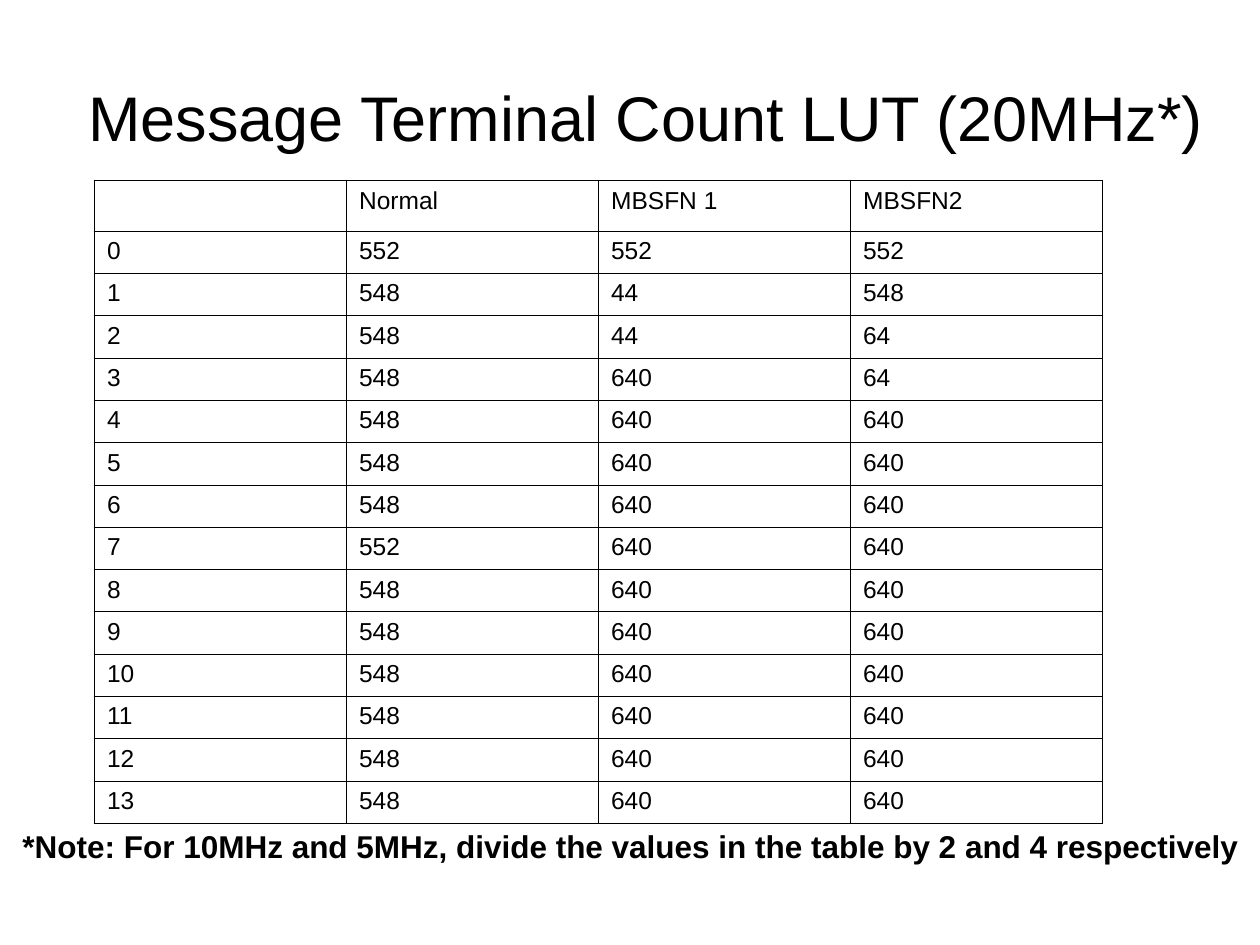
from lxml import etree
from pptx import Presentation
from pptx import util as u
from pptx.dml.color import RGBColor
from pptx.enum import text
from pptx.oxml import ns

W, H = u.Inches(10), u.Inches(7.5)
INK = "000000"
HEADERS = ["", "Normal", "MBSFN 1", "MBSFN2"]
NORMAL = [552] + [548] * 6 + [552] + [548] * 6
MBSFN1 = [552] + [44] * 2 + [640] * 11
MBSFN2 = [552, 548] + [64] * 2 + [640] * 10
THIN, THICK = 0.45, 1.08


def color(value):
    """Return the colour for a hex string."""
    return RGBColor.from_string(value)


def style(p, size, bold=False):
    """Format every run of a paragraph."""
    for r in p.runs:
        r.font.name = "Arial"
        r.font.size = u.Pt(size)
        r.font.bold = bold
        r.font.color.rgb = color(INK)


def add_line(s, box, words, size, align, bold=False):
    """Place one line of text, centred vertically in its box."""
    tf = s.shapes.add_textbox(*box).text_frame
    tf.text = words
    tf.word_wrap = True
    tf.vertical_anchor = text.MSO_ANCHOR.MIDDLE
    tf.paragraphs[0].alignment = align
    style(tf.paragraphs[0], size, bold)
    return tf


def set_border(cell, side, width):
    """Draw one border of a cell."""
    pr = cell._tc.get_or_add_tcPr()
    ln = etree.SubElement(pr, ns.qn(f"a:ln{side}"), w=str(u.Pt(width)))
    fill = etree.SubElement(ln, ns.qn("a:solidFill"))
    etree.SubElement(fill, ns.qn("a:srgbClr"), val=INK)


def add_count_table(s, box, rows):
    """Place the count table with a heavier outer frame."""
    last_row, last_col = len(rows) - 1, len(rows[0]) - 1
    table = s.shapes.add_table(len(rows), len(rows[0]), *box).table
    table.first_row = table.horz_banding = False
    for i, row in enumerate(rows):
        for j, value in enumerate(row):
            cell = table.cell(i, j)
            cell.text = str(value)
            p = cell.text_frame.paragraphs[0]
            if p.text:
                p.space_before = u.Pt(3.5)
            style(p, 14)
            outer = {"L": j == 0, "R": j == last_col, "T": i == 0, "B": i == last_row}
            for side, is_outer in outer.items():
                set_border(cell, side, THICK if is_outer else THIN)
            cell.fill.background()


def build_slide(prs):
    """Lay out the title, the table and the note."""
    s = prs.slides.add_slide(prs.slide_layouts[6])

    def box(x, y, w, h):
        """Turn shares of the slide into lengths."""
        return int(x * W), int(y * H), int(w * W), int(h * H)

    rows = [HEADERS, *zip(range(14), NORMAL, MBSFN1, MBSFN2)]
    add_line(s, box(0.05, 0.04, 0.925, 0.167), "Message Terminal Count LUT (20MHz*)",
             36, text.PP_ALIGN.CENTER)
    add_count_table(s, box(0.075, 0.191, 0.8, 0.672), rows)
    note = add_line(s, box(0.008, 0.869, 0.985, 0.053),
                    "*Note: For 10MHz and 5MHz, divide the values in the table by 2 and 4 respectively",
                    18, text.PP_ALIGN.LEFT, bold=True)
    note.margin_right = 0


def main():
    """Build and save the presentation."""
    prs = Presentation()
    prs.slide_width, prs.slide_height = W, H
    build_slide(prs)
    prs.save("out.pptx")


if __name__ == "__main__":
    main()
